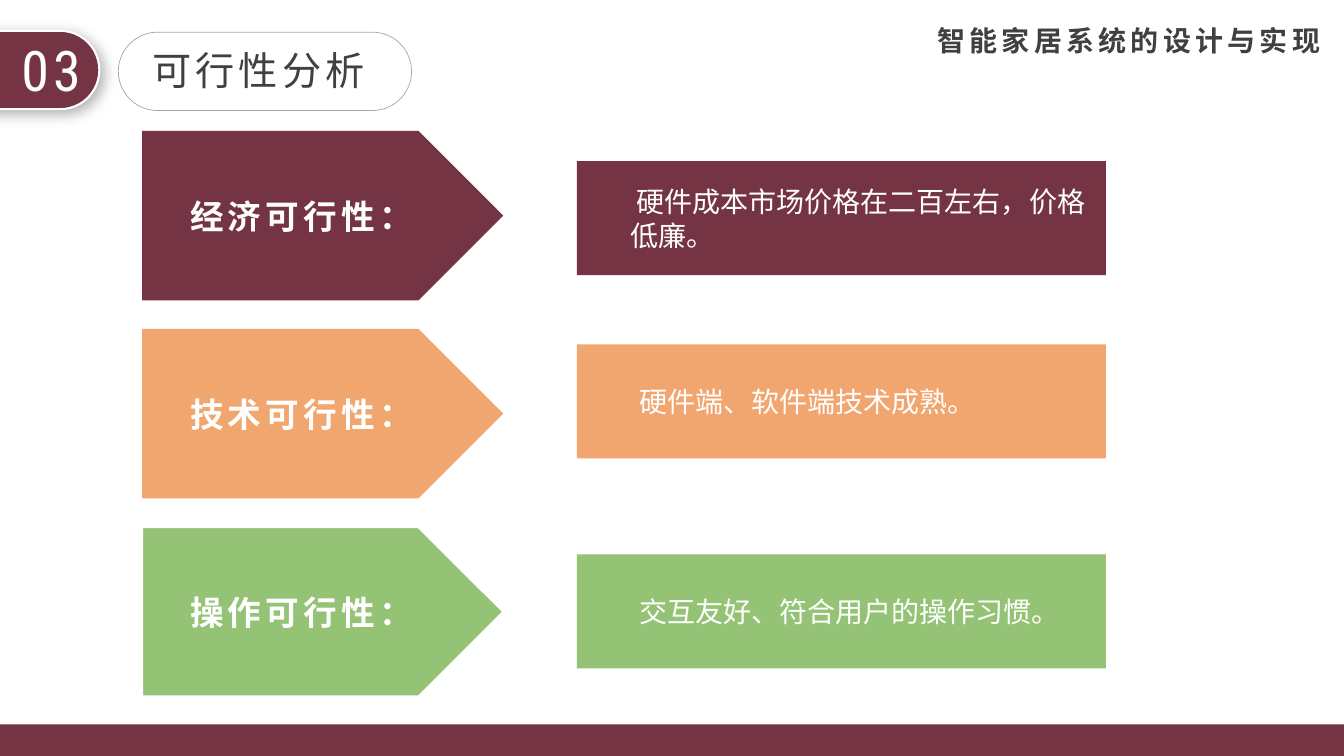
from lxml import etree
from pptx import Presentation
from pptx.dml.color import RGBColor
from pptx.enum.shapes import MSO_SHAPE as SHAPE
from pptx.enum.text import MSO_ANCHOR as ANCHOR, PP_ALIGN as ALIGN
from pptx.oxml import parse_xml
from pptx.oxml.ns import nsdecls, qn
from pptx.util import Pt

COLORS = {
    "wine": "743443", "orange": "F2A66F", "green": "94C375",
    "white": "FFFFFF", "dark": "404040", "gray": "A6A6A6",
}
SANS, NUMERALS = "Noto Sans CJK SC", "Roboto Condensed"
SLIDE_W, SLIDE_H = 960, 540

# color, arrow label, caption, panel top, caption (left offset, width, height)
ROWS = [
    ("wine", "经济可行性：", " 硬件成本市场价格在二百左右，价格低廉。", 115, (31, 358, 55.5)),
    ("orange", "技术可行性：", "硬件端、软件端技术成熟。", 246, (37.5, 366, 31.5)),
    ("green", "操作可行性：", "交互友好、符合用户的操作习惯。", 396, (37.5, 325, 31.5)),
]


def rgb(name):
    return RGBColor.from_string(COLORS[name])


def write(sp, text, size, color, bold=False, spacing=0, name=SANS,
          align=ALIGN.LEFT, anchor=ANCHOR.TOP):
    tf = sp.text_frame
    tf.word_wrap = True
    tf.vertical_anchor = anchor
    p = tf.paragraphs[0]
    p.text = text
    p.alignment = align
    font = p.font
    font.size, font.bold, font.name = Pt(size), bold, name
    font.color.rgb = rgb(color)
    rPr = font._element
    etree.SubElement(rPr, qn("a:ea")).set("typeface", name)
    if spacing:
        rPr.set("spc", str(spacing * 100))


def add_text(s, box, text, size, color, **style):
    sp = s.shapes.add_textbox(*map(Pt, box))
    write(sp, text, size, color, **style)


def add_block(s, kind, box, fill=None, line=None, line_width=1.5):
    sp = s.shapes.add_shape(kind, *map(Pt, box))
    sp.shadow.inherit = False
    if fill:
        sp.fill.solid()
        sp.fill.fore_color.rgb = rgb(fill)
    else:
        sp.fill.background()
    if line:
        sp.line.color.rgb = rgb(line)
        sp.line.width = Pt(line_width)
    else:
        sp.line.fill.background()
    return sp


def cast_shadow(sp):
    """Soft black shadow towards the lower right."""
    effects = sp._element.spPr.find(qn("a:effectLst"))
    effects.append(parse_xml(
        f'<a:outerShdw {nsdecls("a")} blurRad="{Pt(10)}" dist="{Pt(4)}" dir="2700000" '
        'algn="tl" rotWithShape="0"><a:srgbClr val="000000"><a:alpha val="30000"/>'
        '</a:srgbClr></a:outerShdw>'))


def add_header(s, left, top, height):
    tab = add_block(s, SHAPE.ROUNDED_RECTANGLE, (left - 81, top, 152, height),
                    "wine", "white")
    tab.adjustments[0] = 0.5
    cast_shadow(tab)
    add_text(s, (left + 1.5, top, 70, height), "03", 40, "white", spacing=3,
             name=NUMERALS, align=ALIGN.CENTER)
    pill = add_block(s, SHAPE.ROUNDED_RECTANGLE, (left + 84.5, top + 1, 209.5, height),
                     line="gray", line_width=0.5)
    pill.adjustments[0] = 0.5
    add_text(s, (left + 101.5, top + 7.5, 173, 41), "可行性分析", 28, "dark", spacing=3)
    add_text(s, (left + 662.5, top - 8.5, 294.5, 31.5), "智能家居系统的设计与实现", 20,
             "dark", bold=True, spacing=3)


def add_arrow(s, box, color, label):
    line = "white" if color == "green" else None
    arrow = add_block(s, SHAPE.PENTAGON, box, color, line)
    write(arrow, label, 24, "white", bold=True, spacing=3,
          align=ALIGN.CENTER, anchor=ANCHOR.MIDDLE)


def add_panel(s, box, color, text, caption):
    left, top, _, height = box
    offset, text_w, text_h = caption
    add_block(s, SHAPE.RECTANGLE, box, color)
    add_text(s, (left + offset, top + (height - text_h) / 2, text_w, text_h),
             text, 20, "white", anchor=ANCHOR.MIDDLE)


def main():
    prs = Presentation()
    prs.slide_width, prs.slide_height = Pt(SLIDE_W), Pt(SLIDE_H)
    s = prs.slides.add_slide(prs.slide_layouts[6])
    add_header(s, 0, 22, 56)
    add_block(s, SHAPE.RECTANGLE, (0, SLIDE_H - 22.5, SLIDE_W, 22.5), "wine")
    for i, (color, label, text, panel_top, caption) in enumerate(ROWS):
        add_arrow(s, (101.5, 93.5 + 141.5 * i, 258, 121), color, label)
        add_panel(s, (412, panel_top, 378, 81.5), color, text, caption)
    prs.save("out.pptx")


if __name__ == "__main__":
    main()
